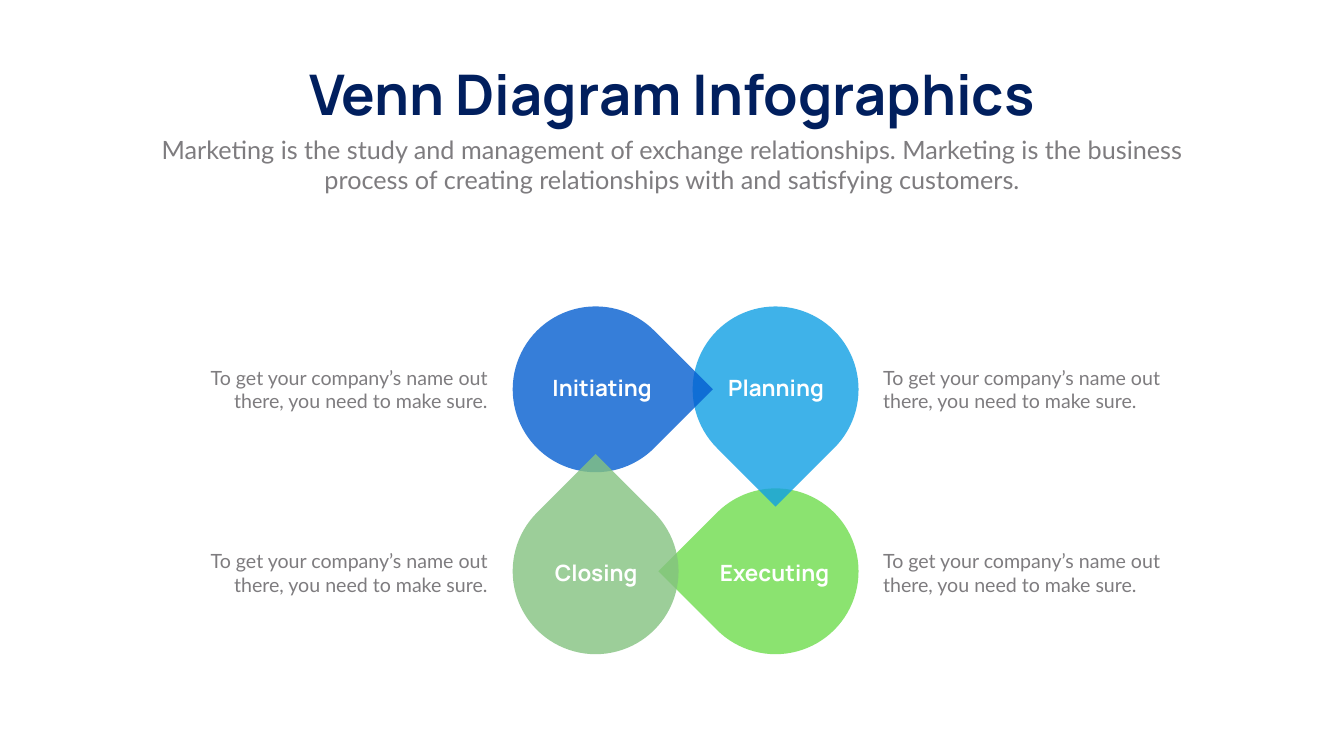
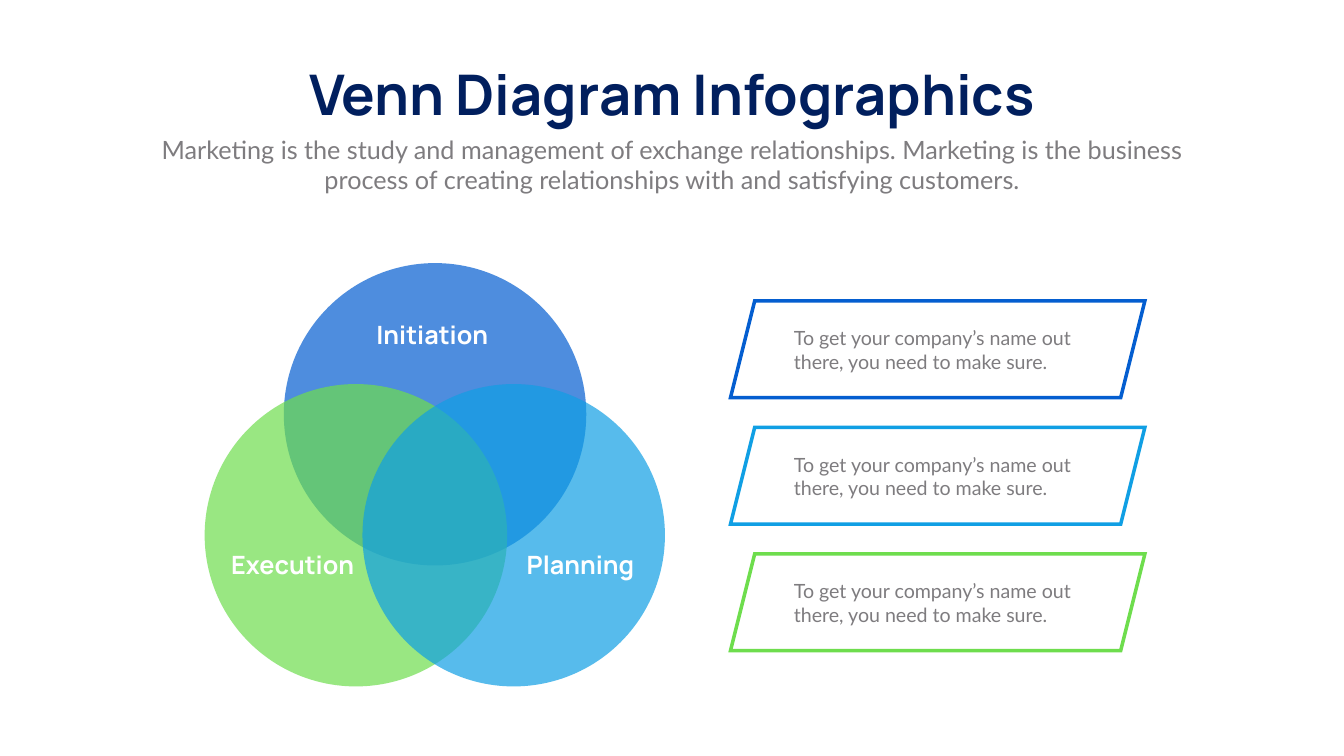
from dataclasses import dataclass

from lxml.etree import SubElement
from pptx import Presentation
from pptx.dml.color import RGBColor
from pptx.enum.shapes import MSO_SHAPE
from pptx.enum.text import MSO_AUTO_SIZE, PP_ALIGN
from pptx.oxml.ns import qn
from pptx.shapes.autoshape import Shape
from pptx.slide import Slide
from pptx.util import Pt


@dataclass(frozen=True)
class Theme:
    """Colours, fonts and type sizes of both slides."""

    navy: str = "011F5E"
    grey: str = "7E7C7F"
    white: str = "FFFFFF"
    blue: str = "045ED0"
    sky: str = "109FE4"
    green: str = "6EDD4D"
    sage: str = "84C280"
    heading_font: str = "Manrope"
    body_font: str = "Lato"
    title_size: float = 80
    large_size: float = 36
    label_size: float = 32
    body_size: float = 28


@dataclass(frozen=True)
class Box:
    """A rectangle in points."""

    left: float
    top: float
    width: float
    height: float

    def lengths(self) -> tuple[Pt, Pt, Pt, Pt]:
        """Give the four lengths in the order that shapes take them."""
        return Pt(self.left), Pt(self.top), Pt(self.width), Pt(self.height)


@dataclass(frozen=True)
class Petal:
    """A teardrop with its label, its grid cell and its rotation."""

    label: str
    label_left: float
    column: int
    row: int
    rotation: float
    color: str


@dataclass(frozen=True)
class Circle:
    """A circle of the Venn diagram with the place of its label."""

    label: str
    left: float
    top: float
    label_left: float
    label_top: float
    color: str


THEME = Theme()
TITLE = "Venn Diagram Infographics"
SUBTITLE = (
    "Marketing is the study and management of exchange relationships. "
    "Marketing is the business process of creating relationships with and satisfying customers."
)
DESCRIPTION = "To get your company’s name out there, you need to make sure."

PETAL_SIZE = 236.88
PETAL_LEFTS = (732.24, 989.28)
PETAL_TOPS = (437.76, 697.68)
PETAL_LABEL_TOPS = (531.36, 794.88)
PETAL_TEXT_LEFTS = (278.64, 1254.24)
PETAL_TEXT_TOPS = (519.12, 781.2)
PETAL_ALIGNMENTS = (PP_ALIGN.RIGHT, PP_ALIGN.LEFT)
PETALS = (
    Petal("Executing", 1000.08, 1, 1, 225, THEME.green),
    Petal("Planning", 1002.24, 1, 0, 135, THEME.sky),
    Petal("Initiating", 753.84, 0, 0, 45, THEME.blue),
    Petal("Closing", 745.2, 0, 1, 315, THEME.sage),
)

CIRCLE_SIZE = 432
CIRCLES = (
    Circle("Initiation", 405.36, 375.84, 483.84, 452.88, THEME.blue),
    Circle("Execution", 292.32, 548.64, 284.4, 781.2, THEME.green),
    Circle("Planning", 517.68, 548.64, 695.52, 781.2, THEME.sky),
)
PANEL_COLORS = (THEME.blue, THEME.sky, THEME.green)
FIRST_PANEL = Box(1043.28, 429.84, 591.84, 138.24)
PANEL_PITCH = 180.72
PANEL_TEXT_LEFT = 1126.8
PANEL_TEXT_INSET = 32.4


def add_text(
    slide: Slide,
    box: Box,
    text: str,
    *,
    size: float,
    color: str,
    font: str = THEME.heading_font,
    bold: bool = True,
    alignment: PP_ALIGN = PP_ALIGN.CENTER,
) -> None:
    """Add a wrapping text box that grows with its text."""
    frame = slide.shapes.add_textbox(*box.lengths()).text_frame
    frame.word_wrap = True
    frame.auto_size = MSO_AUTO_SIZE.SHAPE_TO_FIT_TEXT
    paragraph = frame.paragraphs[0]
    paragraph.alignment = alignment
    run = paragraph.add_run()
    run.text = text
    run.font.name = font
    run.font.size = Pt(size)
    run.font.bold = bold
    run.font.color.rgb = RGBColor.from_string(color)


def add_description(slide: Slide, left: float, top: float, alignment: PP_ALIGN) -> None:
    """Add the short grey description."""
    add_text(
        slide,
        Box(left, top, 424.8, 74.88),
        DESCRIPTION,
        size=THEME.body_size,
        color=THEME.grey,
        font=THEME.body_font,
        bold=False,
        alignment=alignment,
    )


def add_translucent(slide: Slide, kind: MSO_SHAPE, box: Box, color: str, opacity: int) -> Shape:
    """Add a borderless shape whose fill has the given opacity in percent."""
    shape = slide.shapes.add_shape(kind, *box.lengths())
    shape.shadow.inherit = False
    shape.line.fill.background()
    shape.fill.solid()
    shape.fill.fore_color.rgb = RGBColor.from_string(color)
    color_element = shape.element.spPr.find(f"{qn('a:solidFill')}/{qn('a:srgbClr')}")
    SubElement(color_element, qn("a:alpha"), val=str(opacity * 1000))
    return shape


def add_panel(slide: Slide, box: Box, color: str) -> None:
    """Add an outlined parallelogram with sharp corners."""
    panel = slide.shapes.add_shape(MSO_SHAPE.PARALLELOGRAM, *box.lengths())
    panel.shadow.inherit = False
    panel.fill.background()
    panel.line.color.rgb = RGBColor.from_string(color)
    panel.line.width = Pt(5)
    SubElement(panel.element.spPr.find(qn("a:ln")), qn("a:miter"), lim="800000")


def add_titled_slide(presentation: Presentation) -> Slide:
    """Add a blank slide with the shared title and subtitle."""
    slide = presentation.slides.add_slide(presentation.slide_layouts[6])
    add_text(
        slide,
        Box(240.48, 82.08, 1438.56, 104.4),
        TITLE,
        size=THEME.title_size,
        color=THEME.navy,
    )
    add_text(
        slide,
        Box(210.24, 187.92, 1499.04, 94.32),
        SUBTITLE,
        size=THEME.large_size,
        color=THEME.grey,
        font=THEME.body_font,
        bold=False,
    )
    return slide


def build_petal_slide(presentation: Presentation) -> None:
    """Draw the cycle of four teardrops with descriptions at the sides."""
    slide = add_titled_slide(presentation)
    for petal in PETALS:
        column, row = petal.column, petal.row
        box = Box(PETAL_LEFTS[column], PETAL_TOPS[row], PETAL_SIZE, PETAL_SIZE)
        teardrop = add_translucent(slide, MSO_SHAPE.TEAR, box, petal.color, 80)
        teardrop.rotation = petal.rotation
        add_text(
            slide,
            Box(petal.label_left, PETAL_LABEL_TOPS[row], 212.4, 46.08),
            petal.label,
            size=THEME.label_size,
            color=THEME.white,
        )
        add_description(
            slide, PETAL_TEXT_LEFTS[column], PETAL_TEXT_TOPS[row], PETAL_ALIGNMENTS[column]
        )


def build_circle_slide(presentation: Presentation) -> None:
    """Draw the three overlapping circles and the three panels."""
    slide = add_titled_slide(presentation)
    for circle in CIRCLES:
        box = Box(circle.left, circle.top, CIRCLE_SIZE, CIRCLE_SIZE)
        add_translucent(slide, MSO_SHAPE.OVAL, box, circle.color, 70)
    for circle in CIRCLES:
        add_text(
            slide,
            Box(circle.label_left, circle.label_top, 267.12, 51.12),
            circle.label,
            size=THEME.large_size,
            color=THEME.white,
        )
    for index, color in enumerate(PANEL_COLORS):
        top = FIRST_PANEL.top + index * PANEL_PITCH
        add_panel(slide, Box(FIRST_PANEL.left, top, FIRST_PANEL.width, FIRST_PANEL.height), color)
        add_description(slide, PANEL_TEXT_LEFT, top + PANEL_TEXT_INSET, PP_ALIGN.LEFT)


def main() -> None:
    """Build both slides and save the presentation."""
    presentation = Presentation()
    presentation.slide_width = Pt(1919.52)
    presentation.slide_height = Pt(1080)
    build_petal_slide(presentation)
    build_circle_slide(presentation)
    presentation.save("out.pptx")


if __name__ == "__main__":
    main()
